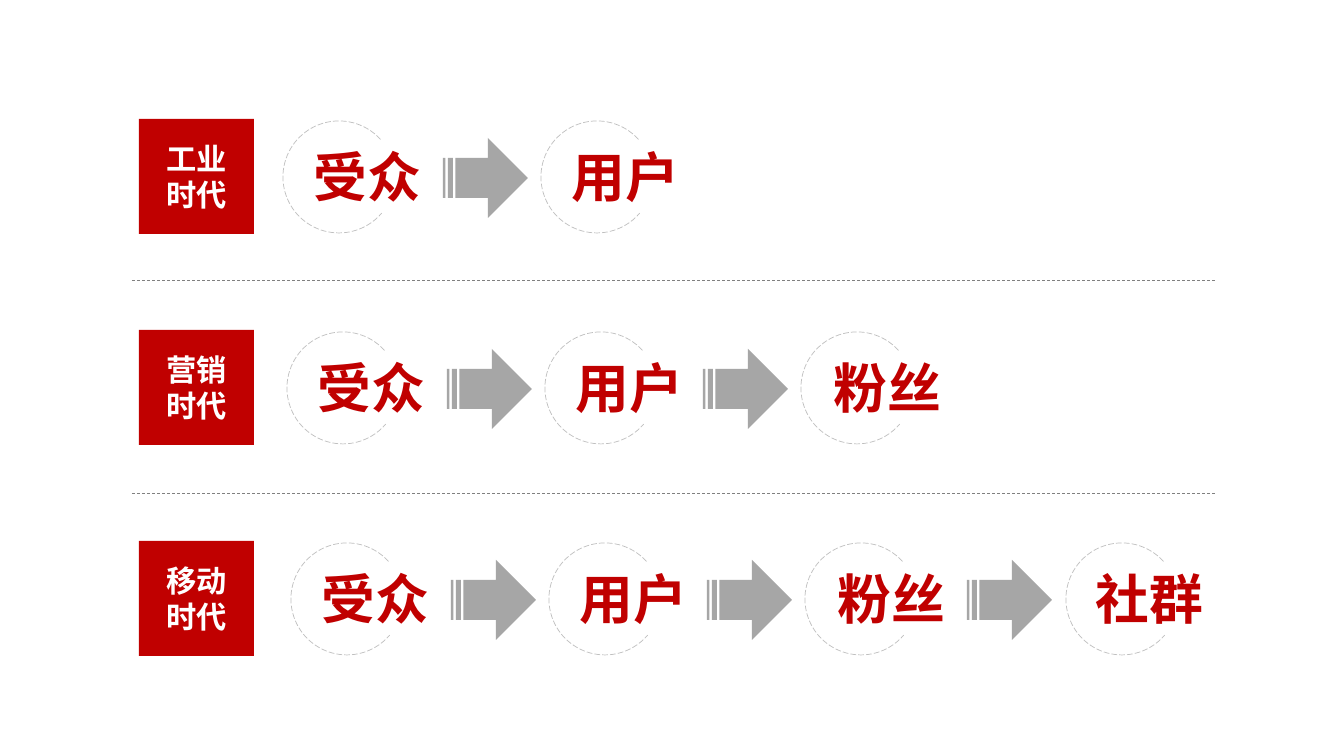
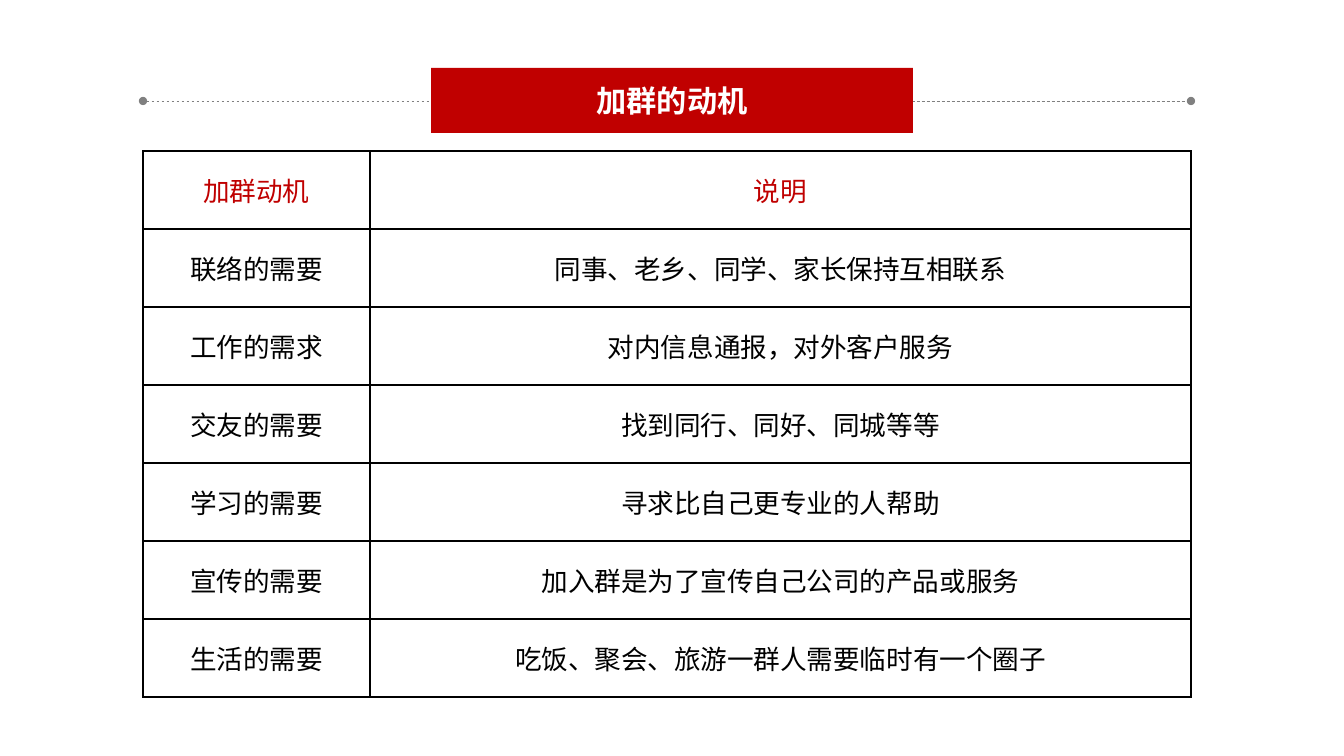
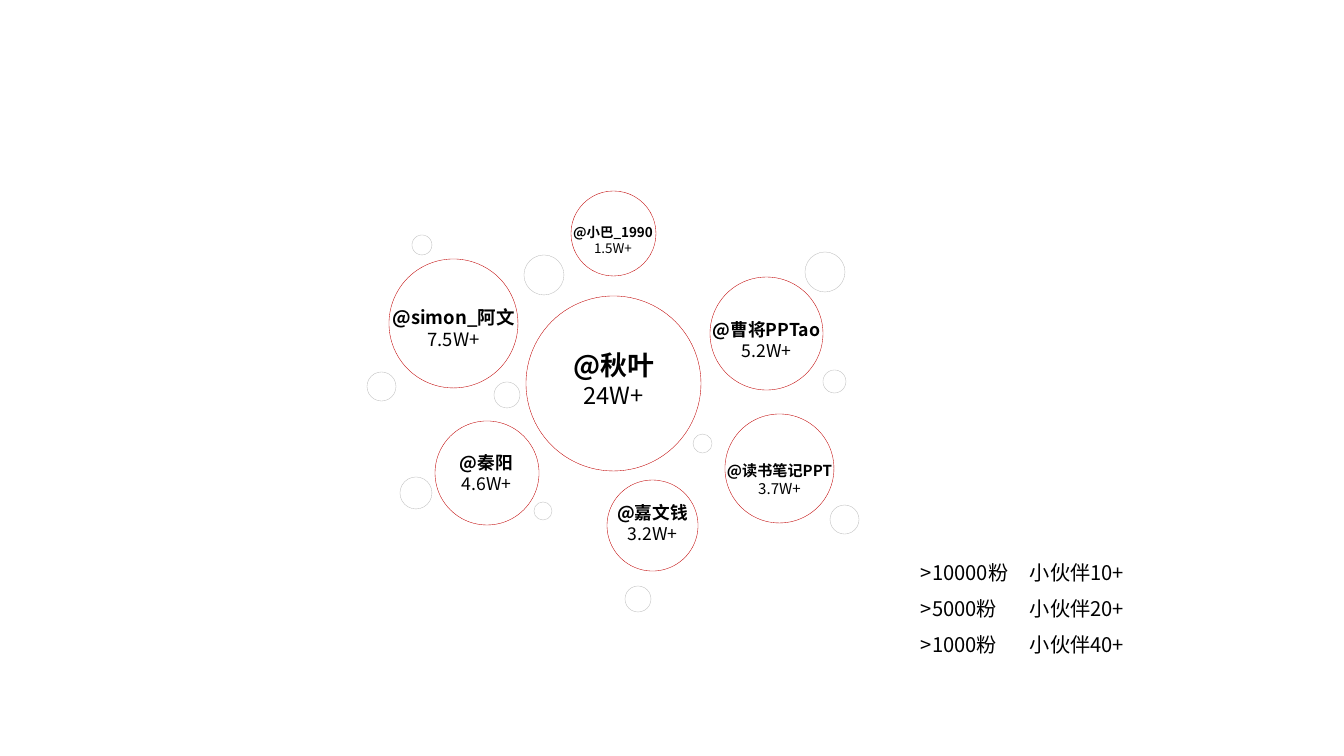
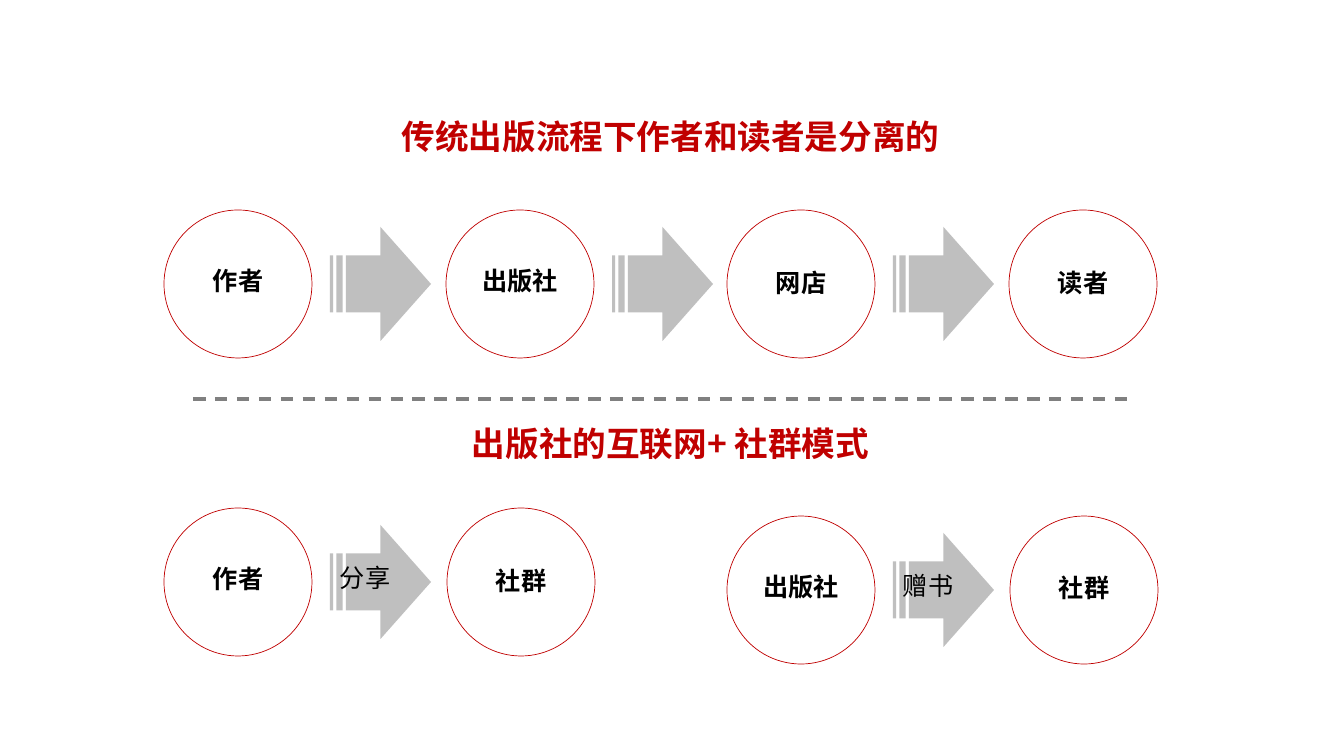
from lxml.etree import SubElement
from pptx import Presentation
from pptx.dml.color import RGBColor
from pptx.enum.dml import MSO_LINE as DASH
from pptx.enum.shapes import MSO_CONNECTOR, MSO_SHAPE as SHAPE
from pptx.enum.text import MSO_ANCHOR as ANCHOR, PP_ALIGN as ALIGN
from pptx.oxml.ns import qn
from pptx.util import Pt

PX = 9071  # EMU in one px
FONT = "Noto Sans CJK SC"
RED, BLACK, WHITE = "C00000", "000000", "FFFFFF"
DARK, MID, LIGHT = "808080", "A6A6A6", "BFBFBF"
rgb = RGBColor.from_string


def draw(s, kind, x, y, w, h, fill=None, line=None, width=0.5):
    """Add a preset shape, or a wrapping text box when kind is None."""
    box = (x * PX, y * PX, w * PX, h * PX)
    if kind is None:
        sp = s.shapes.add_textbox(*box)
        sp.text_frame.word_wrap = True
        return sp
    sp = s.shapes.add_shape(kind, *box)
    sp.shadow.inherit = False
    if fill:
        sp.fill.solid()
        sp.fill.fore_color.rgb = rgb(fill)
    else:
        sp.fill.background()
    if line:
        sp.line.color.rgb = rgb(line)
        sp.line.width = Pt(width)
    else:
        sp.line.fill.background()
    return sp


def write(sp, text, size=18, color=BLACK, bold=False, align=ALIGN.CENTER, spacing=None, tab=None):
    """Add one paragraph for each line of text to a shape or cell."""
    tf = sp.text_frame
    for line in text.split("\n"):
        p = tf.add_paragraph() if tf.text else tf.paragraphs[0]
        if tab:
            tabs = SubElement(p._p.get_or_add_pPr(), qn("a:tabLst"))
            SubElement(tabs, qn("a:tab"), pos=str(tab * PX), algn="l")
        p.alignment = align
        p.line_spacing = spacing
        r = p.add_run()
        r.text = line
        r.font.name = FONT
        r.font.size = Pt(size)
        r.font.bold = bold
        r.font.color.rgb = rgb(color)
        SubElement(r.font._element, qn("a:ea"), typeface=FONT)


prs = Presentation()
prs.slide_width, prs.slide_height = 1344 * PX, 756 * PX
eras, motives, fans, publishing = [prs.slides.add_slide(prs.slide_layouts[6]) for _ in range(4)]

# Dashed rules
for s, x1, x2, y, width, end in [
    (eras, 132, 1216, 280, 0.5, None),
    (eras, 132, 1216, 493, 0.5, None),
    (motives, 143, 1191, 101, 0.5, "oval"),
    (publishing, 193, 1128, 399, 2.25, None),
]:
    c = s.shapes.add_connector(MSO_CONNECTOR.STRAIGHT, x1 * PX, y * PX, x2 * PX, y * PX)
    c.line.color.rgb = rgb(DARK)
    c.line.width = Pt(width)
    c.line.dash_style = DASH.DASH
    if end:
        for tag in ("a:headEnd", "a:tailEnd"):
            SubElement(c.line._ln, qn(tag), type=end)
    SubElement(c._element.spPr, qn("a:effectLst"))

# Slide 1: each era adds one more stage
STAGES = ["受众", "用户", "粉丝", "社群"]
ARC_X = [283, 541, 797, 1058]
ARROW_X = [443, 699, 959]
for row, era in enumerate(["工业", "营销", "移动"]):
    top, shift = 119 + 211 * row, 4 * row
    square = draw(eras, SHAPE.RECTANGLE, 139, top, 115, 115, fill=RED)
    square.text_frame.vertical_anchor = ANCHOR.MIDDLE
    write(square, era + "\n时代", size=21.6, color=WHITE, bold=True)
    for i, stage in enumerate(STAGES[:row + 2]):
        if i:
            draw(eras, SHAPE.STRIPED_RIGHT_ARROW, ARROW_X[i - 1] + shift, top + 19, 85, 80, fill=MID)
        label = draw(eras, None, 303 + 258 * i + shift, top + 20, 129, 76)
        label.text_frame.word_wrap = False
        write(label, stage, size=38.4, color=RED, bold=True)
        arc = draw(eras, SHAPE.ARC, ARC_X[i] + shift, top + 2, 112, 112, line=LIGHT)
        arc.adjustments[0], arc.adjustments[1] = 133.235, 83.858
        arc.line.dash_style = DASH.LONG_DASH
        arc._element.spPr.xfrm.set("flipH", "1")

# Slide 2: table of motives
MOTIVES = [
    ("加群动机", "说明"),
    ("联络的需要", "同事、老乡、同学、家长保持互相联系"),
    ("工作的需求", "对内信息通报，对外客户服务"),
    ("交友的需要", "找到同行、同好、同城等等"),
    ("学习的需要", "寻求比自己更专业的人帮助"),
    ("宣传的需要", "加入群是为了宣传自己公司的产品或服务"),
    ("生活的需要", "吃饭、聚会、旅游一群人需要临时有一个圈子"),
]
table = motives.shapes.add_table(7, 2, 143 * PX, 151 * PX, 1048 * PX, 546 * PX).table
table.first_row = table.horz_banding = False
table.columns[0].width, table.columns[1].width = 227 * PX, 821 * PX
for i, texts in enumerate(MOTIVES):
    table.rows[i].height = 78 * PX
    for j, text in enumerate(texts):
        cell = table.cell(i, j)
        cell.vertical_anchor = ANCHOR.MIDDLE
        cell.margin_left = cell.margin_right = 9 * PX
        cell.margin_top = cell.margin_bottom = 0
        write(cell, text, size=19, color=BLACK if i else RED)
        tcPr = cell._tc.get_or_add_tcPr()
        for side in ("a:lnL", "a:lnR", "a:lnT", "a:lnB"):
            ln = SubElement(tcPr, qn(side), w=str(Pt(1)))
            SubElement(SubElement(ln, qn("a:solidFill")), qn("a:srgbClr"), val=BLACK)
        cell.fill.background()

banner = draw(motives, SHAPE.RECTANGLE, 431, 68, 482, 65, fill=RED)
banner.text_frame.vertical_anchor = ANCHOR.MIDDLE
write(banner, "加群的动机", size=21.6, color=WHITE, bold=True)

# Slide 3: bubbles as x, y, diameter; then text top, width, height, sizes
for name, count, x, y, d, top, w, h, name_size, count_size in [
    ("@秋叶", "24W+", 526, 296, 175, 344, 191, 72, 19.2, 16.9),
    ("@simon_阿文", "7.5W+", 389, 259, 129, 301, 191, 55, 13.2, 13.2),
    ("@曹将PPTao", "5.2W+", 710, 277, 113, 314, 167, 53, 12.6, 12.6),
    ("@秦阳", "4.6W+", 435, 421, 104, 447, 167, 53, 12.6, 12.6),
    ("@嘉文钱", "3.2W+", 607, 480, 91, 497, 167, 53, 12.6, 12.6),
    ("@小巴_1990", "1.5W+", 571, 191, 85, 219, 130, 42, 9.6, 9.6),
    ("@读书笔记PPT", "3.7W+", 725, 414, 109, 456, 203, 46, 10.8, 10.8),
]:
    draw(fans, SHAPE.OVAL, x, y, d, d, line=RED, width=0.25)
    label = draw(fans, None, x + (d - w) // 2, top, w, h)
    write(label, name, size=name_size, bold=True)
    write(label, count, size=count_size)

for x, y, d in [
    (524, 255, 40), (830, 505, 29), (367, 372, 29), (412, 235, 20), (400, 477, 32), (534, 502, 18),
    (805, 252, 40), (823, 370, 23), (625, 586, 26), (693, 434, 19), (494, 382, 26),
]:
    draw(fans, SHAPE.OVAL, x, y, d, d, line=LIGHT, width=0.25)

totals = draw(fans, None, 911, 543, 280, 120)
write(totals, ">10000粉\t小伙伴10+\n>5000粉\t小伙伴20+\n>1000粉\t小伙伴40+",
      size=14.4, align=ALIGN.LEFT, spacing=1.5, tab=109)

# Slide 4: the two publishing flows
for y, heading in [(111, "传统出版流程下作者和读者是分离的"), (418, "出版社的互联网+ 社群模式")]:
    write(draw(publishing, None, 297, y, 747, 50), heading, size=24, color=RED, bold=True)

# Circle x, y, text offset, and the text on the arrow that follows (None for no arrow)
for role, x, y, dy, action in [
    ("作者", 164, 210, 50, ""),
    ("出版社", 446, 210, 50, ""),
    ("网店", 727, 210, 52, ""),
    ("读者", 1009, 210, 52, None),
    ("作者", 164, 508, 50, "分享"),
    ("社群", 447, 508, 52, None),
    ("出版社", 727, 516, 50, "赠书"),
    ("社群", 1010, 516, 51, None),
]:
    draw(publishing, SHAPE.OVAL, x, y, 148, 148, line=RED)
    write(draw(publishing, None, x + 5, y + dy, 138, 40), role, bold=True)
    if action is not None:
        draw(publishing, SHAPE.STRIPED_RIGHT_ARROW, x + 166, y + 17, 101, 114, fill=LIGHT)
    if action:
        write(draw(publishing, None, x + 166, y + 49, 121, 40), action, align=ALIGN.LEFT)

prs.save("out.pptx")
